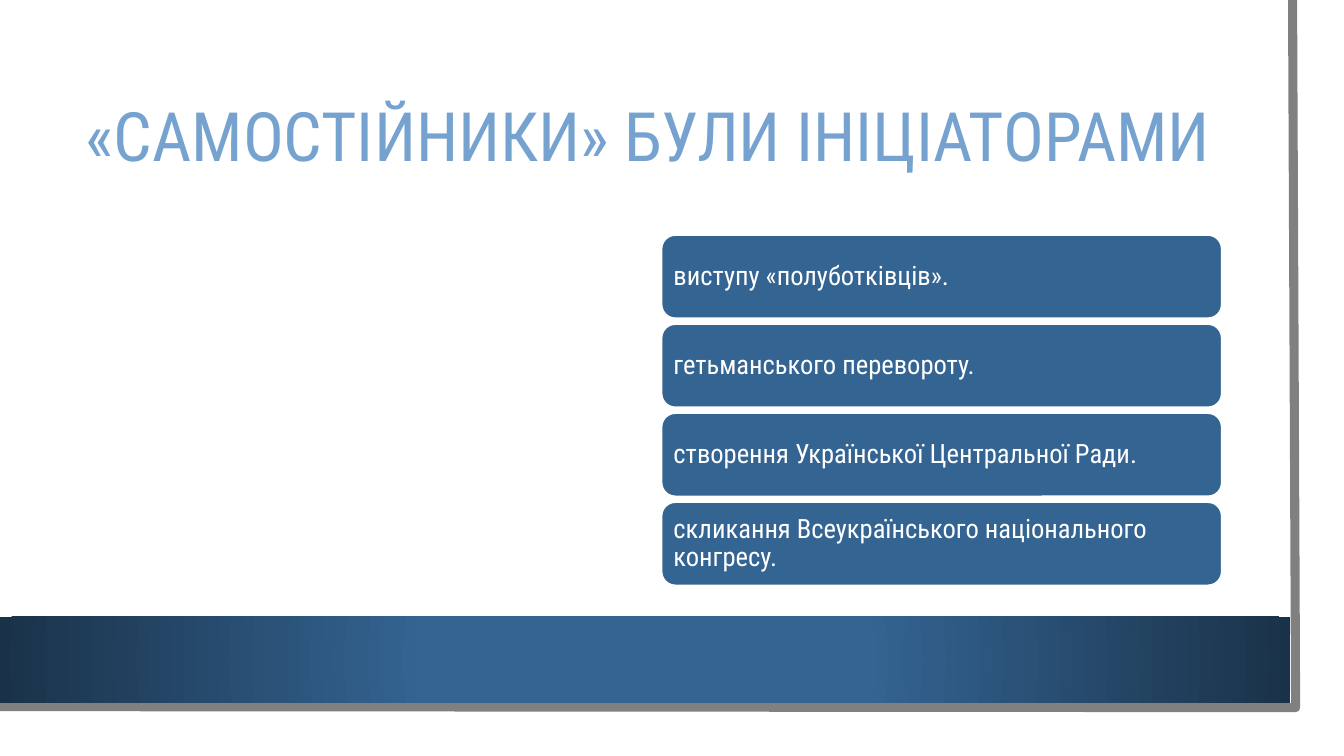
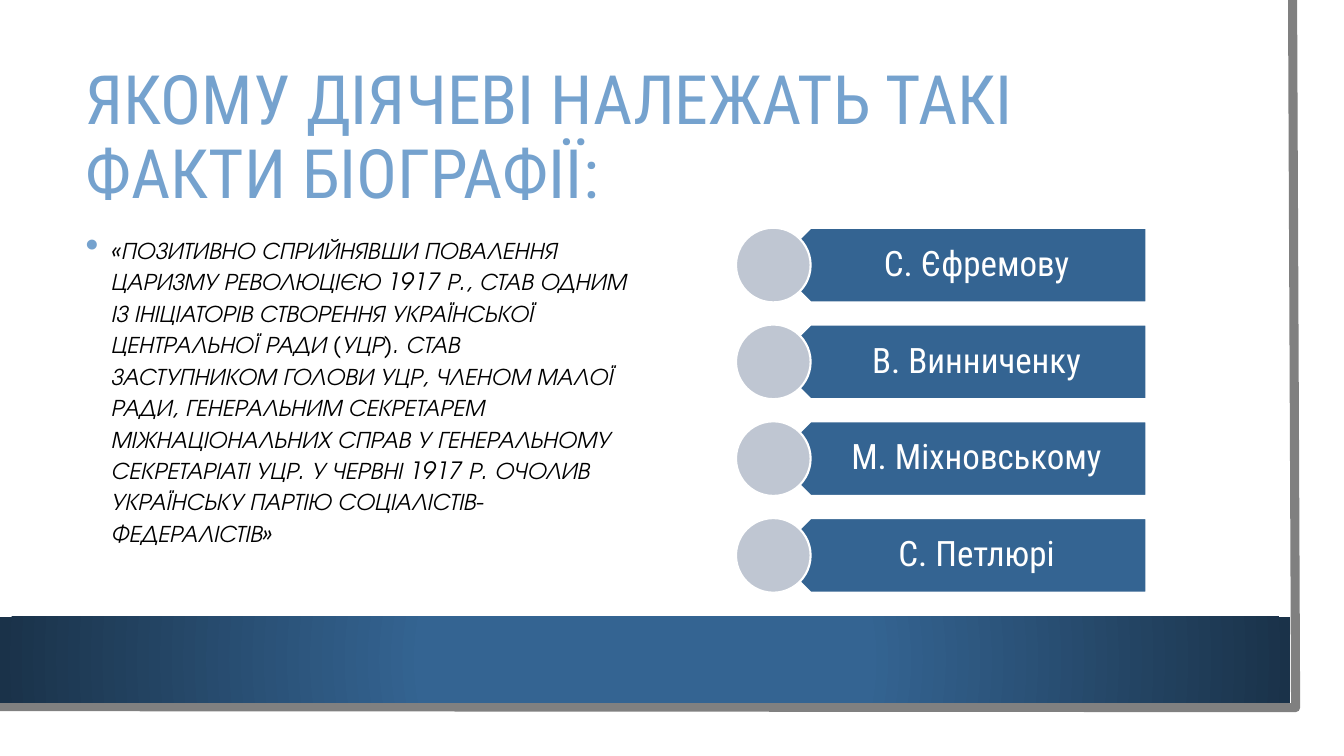
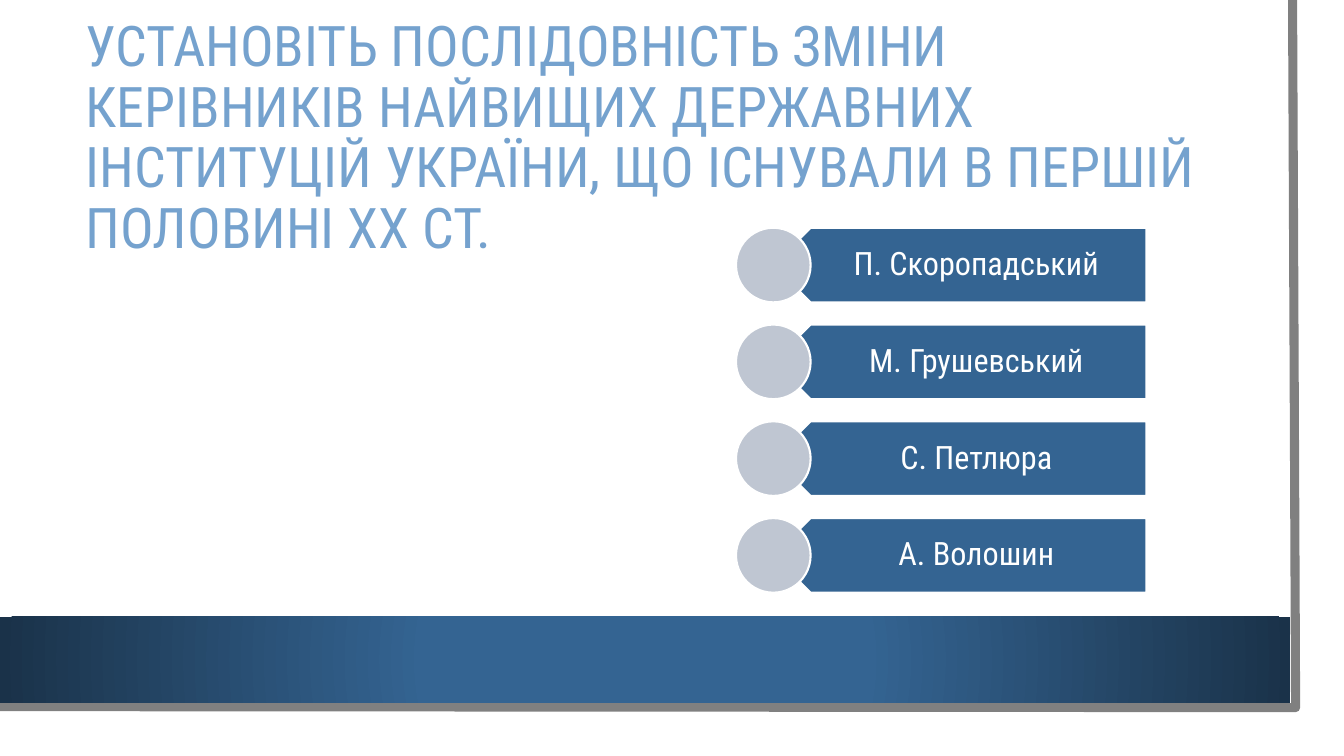
"""Quiz slides on the Ukrainian revolution with a shared frame and answer lists."""
from pptx import Presentation
from pptx import util as u
from pptx.dml.color import RGBColor
from pptx.enum import shapes, text
from pptx.oxml import parse_xml
from pptx.oxml.ns import nsdecls

WIDTH, HEIGHT = 13.33, 7.5
BLUE = RGBColor(0x34, 0x64, 0x92)
NAVY = RGBColor(0x1A, 0x32, 0x49)
SKY = RGBColor(0x75, 0xA2, 0xCE)
SILVER = RGBColor(0xBF, 0xC6, 0xD2)
GREY = RGBColor(0x80, 0x80, 0x80)
WHITE = RGBColor(0xFF, 0xFF, 0xFF)
BLACK = RGBColor(0, 0, 0)
HEAD_FONT, QUOTE_FONT = "Roboto Condensed", "TeX Gyre Adventor"

LEFT, TOP, CONTENT = 0.75, 2.26, 11.37
SHEET = (0, 0, 13.1, 7.27)
EDGE = [(12.82, 0), (12.85, 7.02), (-0.03, 7.01)]
BAND = (0, 6.12, 12.8, 0.85)
TITLE = (LEFT, 0.75, CONTENT, 1.27)
QUOTE = (LEFT, TOP, 5.57, 3.62)

SLIDES = [
    {"title": "«САМОСТІЙНИКИ» БУЛИ ІНІЦІАТОРАМИ", "title_size": 48.6,
     "cards": ["виступу «полуботківців».",
               "гетьманського перевороту.",
               "створення Української Центральної Ради.",
               "скликання Всеукраїнського національного конгресу."]},
    {"title": "ЯКОМУ ДІЯЧЕВІ НАЛЕЖАТЬ ТАКІ ФАКТИ БІОГРАФІЇ:", "title_size": 48.6,
     "quote": "«ПОЗИТИВНО СПРИЙНЯВШИ ПОВАЛЕННЯ ЦАРИЗМУ РЕВОЛЮЦІЄЮ 1917 Р., "
              "СТАВ ОДНИМ ІЗ ІНІЦІАТОРІВ СТВОРЕННЯ УКРАЇНСЬКОЇ ЦЕНТРАЛЬНОЇ "
              "РАДИ (УЦР). СТАВ ЗАСТУПНИКОМ ГОЛОВИ УЦР, ЧЛЕНОМ МАЛОЇ РАДИ, "
              "ГЕНЕРАЛЬНИМ СЕКРЕТАРЕМ МІЖНАЦІОНАЛЬНИХ СПРАВ У ГЕНЕРАЛЬНОМУ "
              "СЕКРЕТАРІАТІ УЦР. У ЧЕРВНІ 1917 Р. ОЧОЛИВ УКРАЇНСЬКУ ПАРТІЮ "
              "СОЦІАЛІСТІВ-ФЕДЕРАЛІСТІВ»",
     "names": ["С. Єфремову", "В. Винниченку", "М. Міхновському", "С. Петлюрі"],
     "name_size": 25},
    {"title": "УСТАНОВІТЬ ПОСЛІДОВНІСТЬ ЗМІНИ КЕРІВНИКІВ НАЙВИЩИХ ДЕРЖАВНИХ "
              "ІНСТИТУЦІЙ УКРАЇНИ, ЩО ІСНУВАЛИ В ПЕРШІЙ ПОЛОВИНІ ХХ СТ.",
     "title_size": 40,
     "names": ["П. Скоропадський", "М. Грушевський", "С. Петлюра", "А. Волошин"],
     "name_size": 23},
]


def inches(values):
    return [u.Inches(value) for value in values]


def add_shape(page, kind, place, fill, line=None):
    shape = page.shapes.add_shape(kind, *inches(place))
    shape.shadow.inherit = False
    shape.fill.solid()
    shape.fill.fore_color.rgb = fill
    if line is None:
        shape.line.fill.background()
    else:
        shape.line.color.rgb = line
        shape.line.width = u.Pt(1.5)
    return shape


def write(shape, words, size, color, font=HEAD_FONT, align=text.PP_ALIGN.LEFT,
          anchor=text.MSO_ANCHOR.MIDDLE, insets=(0.1, 0.05, 0.1, 0.05), spacing=0.9):
    frame = shape.text_frame
    frame.word_wrap = True
    frame.vertical_anchor = anchor
    (frame.margin_left, frame.margin_top,
     frame.margin_right, frame.margin_bottom) = inches(insets)
    frame.text = words
    para = frame.paragraphs[0]
    para.alignment = align
    para.line_spacing = spacing
    span = para.runs[0]
    span.font.name = font
    span.font.size = u.Pt(size)
    span.font.color.rgb = color
    return para


def add_text(page, place, *args, **style):
    return write(page.shapes.add_textbox(*inches(place)), *args, **style)


def add_frame(page):
    add_shape(page, shapes.MSO_SHAPE.RECTANGLE, SHEET, WHITE)
    builder = page.shapes.build_freeform(*inches(EDGE[0]))
    builder.add_line_segments([inches(point) for point in EDGE[1:]], close=False)
    edge = builder.convert_to_shape()
    edge.shadow.inherit = False
    edge.fill.background()
    edge.line.color.rgb = GREY
    edge.line.width = u.Pt(6.5)
    band = add_shape(page, shapes.MSO_SHAPE.RECTANGLE, BAND, BLUE)
    stops = "".join(f'<a:gs pos="{share}000"><a:srgbClr val="{color}"/></a:gs>'
                    for share, color in ((34, BLUE), (100, NAVY)))
    gradient = parse_xml(
        f'<a:gradFill {nsdecls("a")} rotWithShape="1"><a:gsLst>{stops}</a:gsLst>'
        '<a:path path="circle"><a:fillToRect l="50000" t="50000" r="50000" b="50000"/>'
        '</a:path></a:gradFill>')
    properties = band.fill._xPr
    properties.replace(properties.find("{*}solidFill"), gradient)


def add_quote(page, words):
    para = add_text(page, QUOTE, words, 17, BLACK, font=QUOTE_FONT,
                    anchor=text.MSO_ANCHOR.TOP, spacing=1.1)
    para.runs[0].font.italic = True
    properties = para._p.get_or_add_pPr()
    properties.set("marL", str(u.Inches(0.25)))
    properties.set("indent", str(-u.Inches(0.25)))
    for tag in (f'buClr {nsdecls("a")}><a:srgbClr val="{SKY}"/></a:buClr',
                f'buSzPct {nsdecls("a")} val="160000"/',
                f'buChar {nsdecls("a")} char="•"/'):
        properties.append(parse_xml(f"<a:{tag}>"))


def stack(items, top, bottom, height):
    pitch = (bottom - top - height) / (len(items) - 1)
    return [(top + row * pitch, item) for row, item in enumerate(items)]


def add_cards(page, answers):
    height = 0.83
    for top, answer in stack(answers, 2.33, 5.81, height):
        card = add_shape(page, shapes.MSO_SHAPE.ROUNDED_RECTANGLE,
                         (6.56, top, 5.56, height), BLUE, WHITE)
        write(card, answer, 19, WHITE, insets=[0.08] * 4)


def add_names(page, names, size):
    height = 0.74
    for top, name in stack(names, TOP, 5.88, height):
        plate = add_shape(page, shapes.MSO_SHAPE.PENTAGON,
                          (7.67, top, 3.7, height), BLUE, WHITE)
        plate.rotation = 180
        add_text(page, (7.86, top, 3.51, height), name, size, WHITE,
                 align=text.PP_ALIGN.CENTER, insets=(0.33, 0.1, 0.19, 0.1))
        add_shape(page, shapes.MSO_SHAPE.OVAL, (7.3, top, height, height), SILVER, WHITE)


def main():
    deck = Presentation()
    deck.slide_width, deck.slide_height = inches((WIDTH, HEIGHT))
    for content in SLIDES:
        page = deck.slides.add_slide(deck.slide_layouts[6])
        add_frame(page)
        add_text(page, TITLE, content["title"], content["title_size"], SKY)
        if "quote" in content:
            add_quote(page, content["quote"])
        if "cards" in content:
            add_cards(page, content["cards"])
        if "names" in content:
            add_names(page, content["names"], content["name_size"])
    deck.save("out.pptx")


if __name__ == "__main__":
    main()
